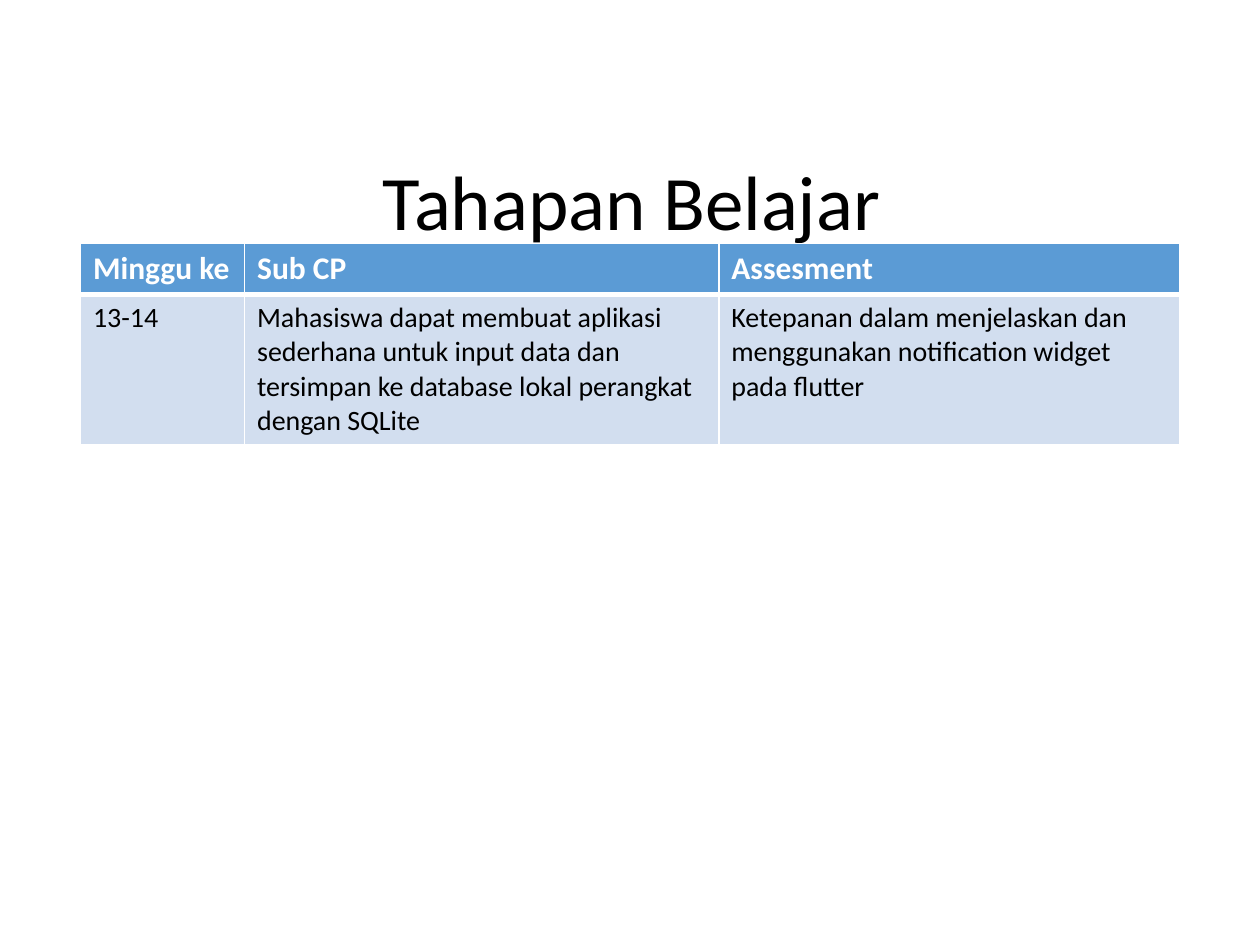
from lxml.etree import SubElement
from pptx import Presentation
from pptx.dml.color import RGBColor
from pptx.enum.text import MSO_ANCHOR as Anchor, PP_ALIGN as Align
from pptx.oxml.ns import qn
from pptx.util import Pt


def rgb(color):
    return RGBColor.from_string(color)


def write(frame, text, size=16, color="000000", bold=False, align=Align.LEFT, spacing=1.0):
    frame.word_wrap = True
    paragraph = frame.paragraphs[0]
    paragraph.alignment = align
    paragraph.line_spacing = spacing
    run = paragraph.add_run()
    run.text = text
    run.font.name = "Calibri"
    run.font.size = Pt(size)
    run.font.bold = bold
    run.font.color.rgb = rgb(color)


prs = Presentation()
prs.slide_width, prs.slide_height = Pt(720), Pt(540)
slide = prs.slides.add_slide(prs.slide_layouts[5])

# Title
title = slide.shapes.title
title.left, title.top, title.width, title.height = Pt(46), Pt(88.5), Pt(630), Pt(57.6)
title.text_frame.vertical_anchor = Anchor.MIDDLE
write(title.text_frame, "Tahapan Belajar", size=44, align=Align.CENTER, spacing=0.9)

# Learning stages table
stages = [
    ["Minggu ke", "Sub CP", "Assesment"],
    [
        "13-14",
        "Mahasiswa dapat membuat aplikasi sederhana untuk input data dan "
        "tersimpan ke database lokal perangkat dengan SQLite",
        "Ketepanan dalam menjelaskan dan menggunakan notification widget pada flutter",
    ],
]
column_widths = [93.75, 271, 263.5]
row_heights = [29.2, 84.5]
row_formats = [
    dict(size=18, color="FFFFFF", bold=True),
    dict(size=16, color="000000"),
]
row_fills = ["5B9BD5", "D2DEEF"]
# Line widths: the heavy line runs between the header and the body
row_borders = [
    {"a:lnL": 1, "a:lnR": 1, "a:lnT": 1, "a:lnB": 3},
    {"a:lnL": 1, "a:lnR": 1, "a:lnT": 3, "a:lnB": 1},
]

table = slide.shapes.add_table(
    len(stages), len(column_widths), Pt(46), Pt(139.2),
    Pt(sum(column_widths)), Pt(sum(row_heights)),
).table
for column, width in zip(table.columns, column_widths):
    column.width = Pt(width)

for r, texts in enumerate(stages):
    table.rows[r].height = Pt(row_heights[r])
    for c, text in enumerate(texts):
        cell = table.cell(r, c)
        write(cell.text_frame, text, **row_formats[r])

        # Borders come before the fill in the cell properties
        properties = cell._tc.get_or_add_tcPr()
        for side, width in row_borders[r].items():
            border = SubElement(properties, qn(side), w=str(Pt(width)))
            SubElement(SubElement(border, qn("a:solidFill")), qn("a:srgbClr"), val="FFFFFF")
        cell.fill.solid()
        cell.fill.fore_color.rgb = rgb(row_fills[r])

prs.save("out.pptx")
